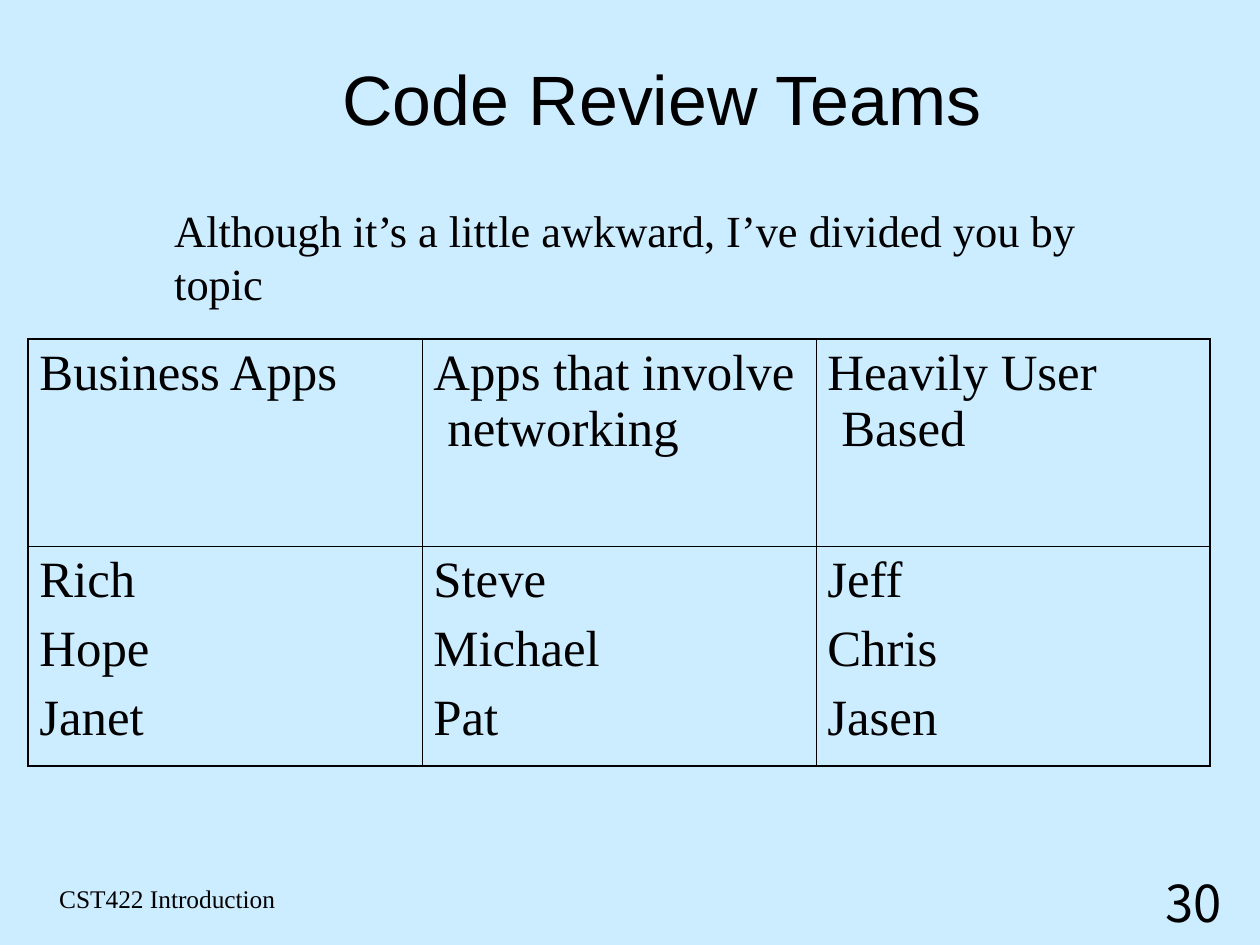
"""Build the Code Review Teams slide with its team table."""
from lxml.etree import SubElement
from pptx import Presentation
from pptx.dml.color import RGBColor
from pptx.enum.text import MSO_ANCHOR, MSO_AUTO_SIZE, PP_ALIGN
from pptx.oxml.ns import qn
from pptx.util import Pt

TITLE = "Code Review Teams"
TEAMS = [
    ("Business Apps", ["Rich", "Hope", "Janet"]),
    ("Apps that involve networking", ["Steve", "Michael", "Pat"]),
    ("Heavily User Based", ["Jeff", "Chris", "Jasen"]),
]
TEXT_BOXES = [
    ("CST422 Introduction", "footer", (48, 877, 495, 42)),
    ("30", "number", (1154, 866, 114, 73)),
    ("Although it’s a little awkward, I’ve divided you by topic", "intro", (163, 197, 1009, 119)),
]
TITLE_BOX = (65, 19, 1195, 158)
TABLE_LEFT, TABLE_TOP, COLUMN_WIDTH = 28, 339, 394
ROW_HEIGHTS = [207, 220]
HANGING = 14
THEME = {
    "background": RGBColor(0xCC, 0xEC, 0xFF),
    "ink": "000000",
    "outer": 1.08,
    "inner": 0.45,
    "title": ("Arial", 44, 0),
    "intro": ("Times New Roman", 28, 17.5),
    "cell": ("Times New Roman", 32, 8),
    "footer": ("Times New Roman", 16, 10),
    "number": ("Noto Sans CJK JP", 32, 20),
}


def px(length):
    return length * 8000


def place(shape, box):
    for name, length in zip(("left", "top", "width", "height"), box):
        setattr(shape, name, px(length))


def write(frame, lines, style, align=PP_ALIGN.LEFT):
    name, size, space = THEME[style]
    frame.text = "\n".join(lines)
    for paragraph in frame.paragraphs:
        paragraph.alignment = align
        paragraph.space_before = Pt(space)
        font = paragraph.runs[0].font
        for attribute, value in {"name": name, "size": Pt(size), "bold": False}.items():
            setattr(font, attribute, value)
        font.color.rgb = RGBColor.from_string(THEME["ink"])
        for tag in ("a:ea", "a:cs"):
            SubElement(paragraph.runs[0].font._element, qn(tag), typeface=name)


def add_border(properties, side, points):
    line = SubElement(properties, qn(f"a:ln{side}"), w=str(int(Pt(points))))
    fill = SubElement(line, qn("a:solidFill"))
    SubElement(fill, qn("a:srgbClr"), val=THEME["ink"])


def format_cell(cell, lines, edges):
    write(cell.text_frame, lines, "cell")
    for paragraph in cell.text_frame.paragraphs:
        properties = paragraph._p.get_or_add_pPr()
        properties.set("marL", str(px(HANGING)))
        properties.set("indent", str(-px(HANGING)))
    properties = cell._tc.get_or_add_tcPr()
    for side, is_outer in edges.items():
        add_border(properties, side, THEME["outer" if is_outer else "inner"])
    cell.fill.background()


def add_team_table(slide):
    rows, columns = len(ROW_HEIGHTS), len(TEAMS)
    box = (TABLE_LEFT, TABLE_TOP, COLUMN_WIDTH * columns, sum(ROW_HEIGHTS))
    table = slide.shapes.add_table(rows, columns, *map(px, box)).table
    table.first_row = table.horz_banding = False
    for row, height in zip(table.rows, ROW_HEIGHTS):
        row.height = px(height)
    for column, (topic, members) in enumerate(TEAMS):
        table.columns[column].width = px(COLUMN_WIDTH)
        for row, lines in enumerate(([topic], members)):
            edges = {"L": column == 0, "R": column == columns - 1,
                     "T": row == 0, "B": row == rows - 1}
            format_cell(table.cell(row, column), lines, edges)


def main():
    presentation = Presentation()
    presentation.slide_width, presentation.slide_height = px(1260), px(945)
    slide = presentation.slides.add_slide(presentation.slide_layouts[5])
    slide.background.fill.solid()
    slide.background.fill.fore_color.rgb = THEME["background"]

    title = slide.shapes.title
    place(title, TITLE_BOX)
    title_format = {"auto_size": MSO_AUTO_SIZE.NONE, "vertical_anchor": MSO_ANCHOR.MIDDLE,
                    "margin_left": 0, "margin_top": 0, "margin_right": 0, "margin_bottom": 0}
    for attribute, value in title_format.items():
        setattr(title.text_frame, attribute, value)
    write(title.text_frame, [TITLE], "title", PP_ALIGN.CENTER)

    add_team_table(slide)
    for text, style, box in TEXT_BOXES:
        frame = slide.shapes.add_textbox(*map(px, box)).text_frame
        frame.word_wrap = True
        write(frame, [text], style)
    presentation.save("out.pptx")


if __name__ == "__main__":
    main()
